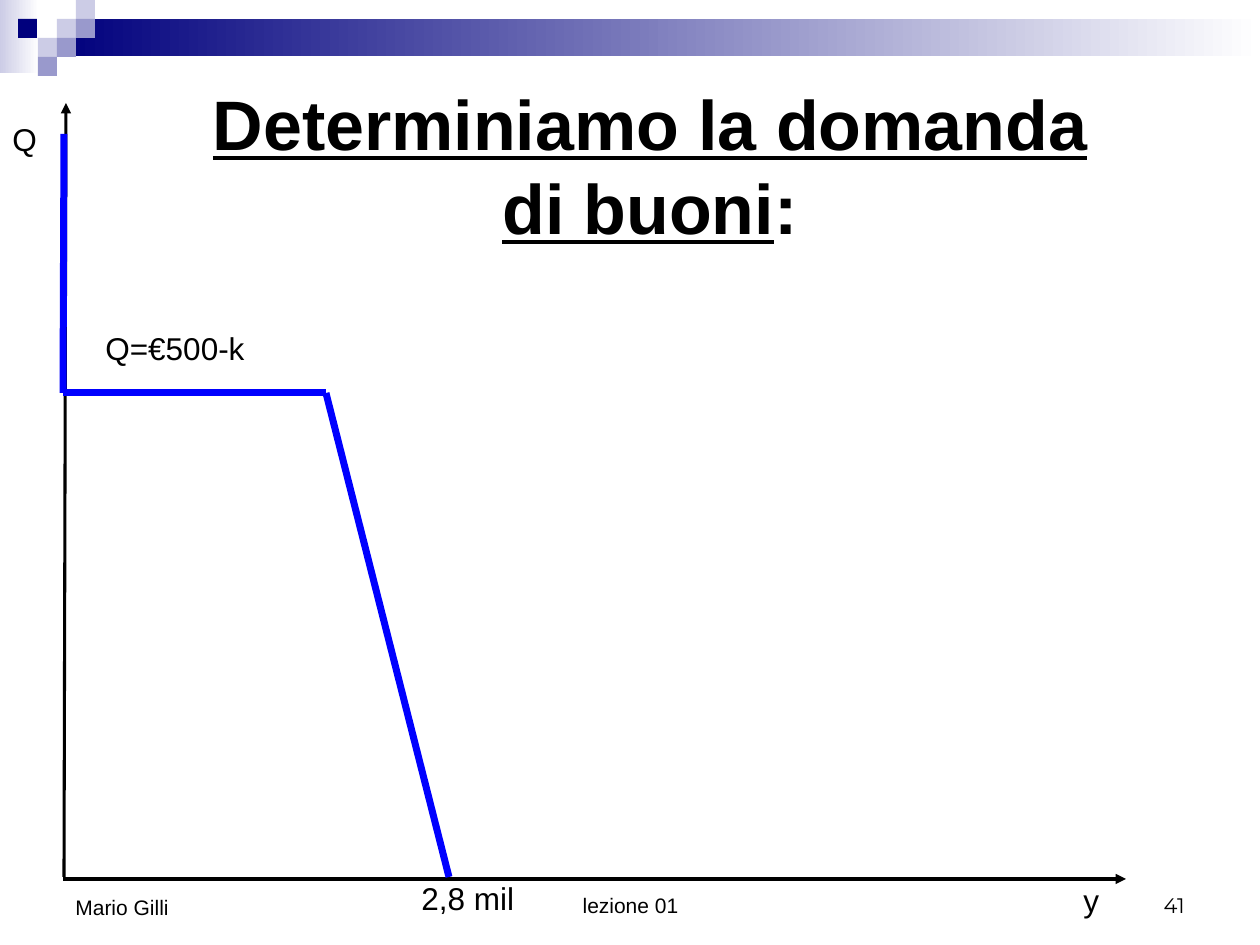
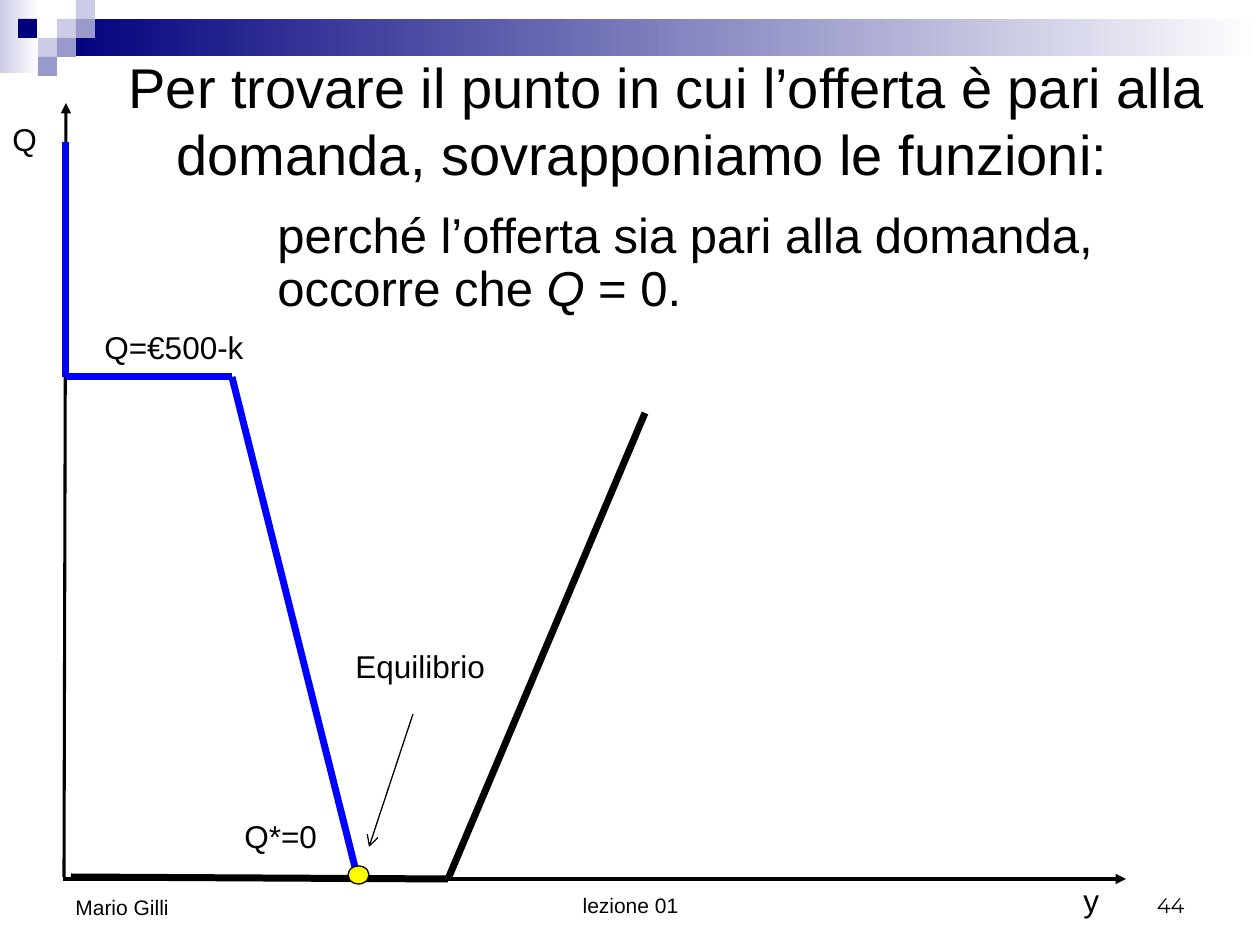
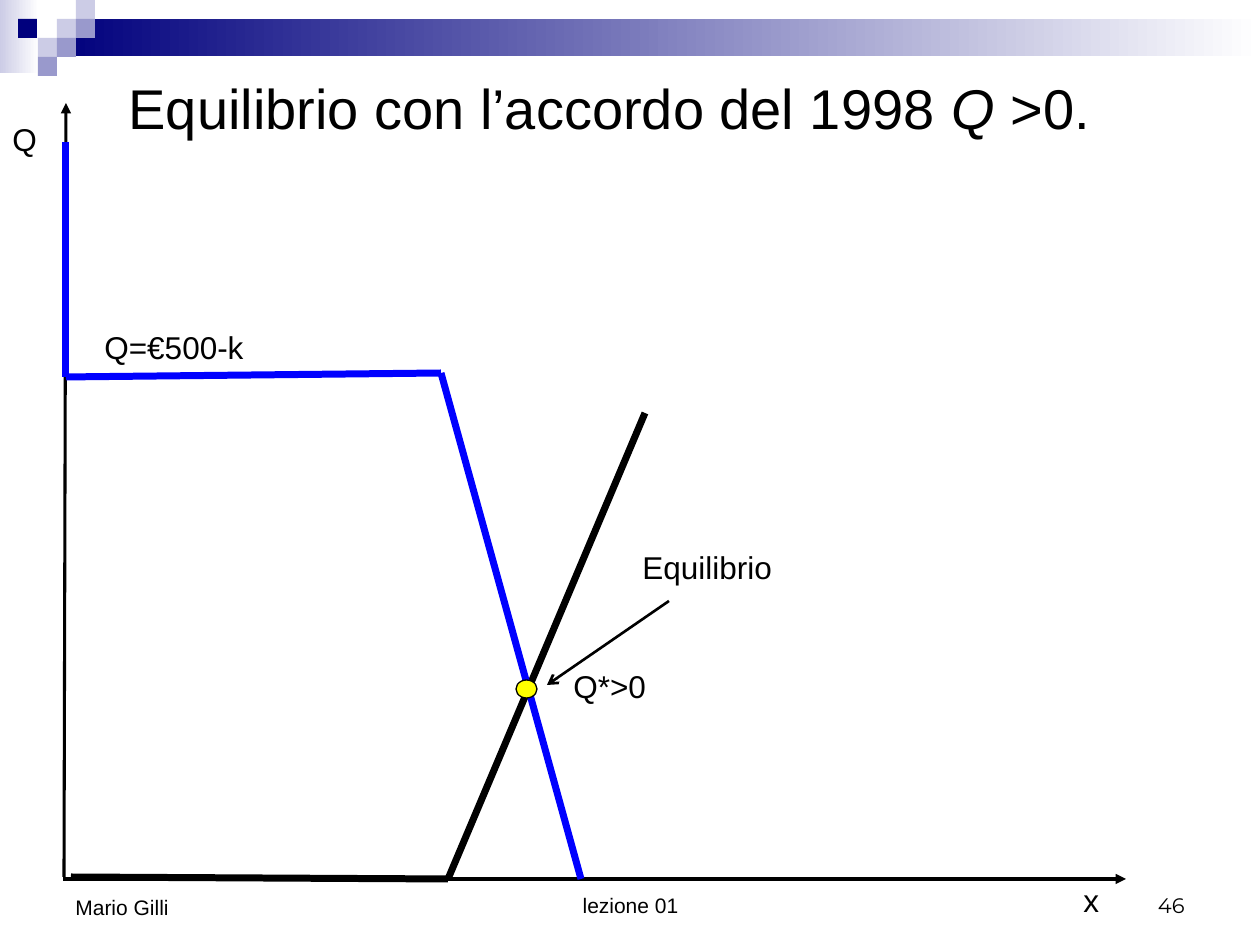
from dataclasses import dataclass
from itertools import pairwise

from lxml.etree import SubElement
from pptx import Presentation
from pptx.dml.color import RGBColor
from pptx.enum.shapes import MSO_CONNECTOR, MSO_SHAPE
from pptx.enum.text import MSO_ANCHOR, MSO_AUTO_SIZE, PP_ALIGN
from pptx.oxml.ns import qn
from pptx.util import Emu, Pt


@dataclass(frozen=True)
class Theme:
    black: RGBColor = RGBColor(0x00, 0x00, 0x00)
    white: RGBColor = RGBColor(0xFF, 0xFF, 0xFF)
    navy: RGBColor = RGBColor(0x00, 0x00, 0x7D)
    lilac: RGBColor = RGBColor(0x99, 0x99, 0xCC)
    pale: RGBColor = RGBColor(0xCC, 0xCC, 0xE6)
    demand: RGBColor = RGBColor(0x00, 0x00, 0xFF)
    marker: RGBColor = RGBColor(0xFF, 0xFF, 0x00)
    font: str = "Arial"
    number_font: str = "Montserrat"
    heading_size: int = 40
    title_size: int = 32
    body_size: int = 28
    label_size: int = 18
    footer_size: int = 12
    axis_width: float = 1.75
    curve_width: float = 4
    thin_width: float = 0.75


THEME = Theme()
PX = 914400 / 126


def write(frame, text, size, align=PP_ALIGN.LEFT, font=THEME.font, emphasis="italic"):
    """Fill a frame, one paragraph a line; words between underscores get the emphasis."""
    for index, line in enumerate(text.split("\n")):
        para = frame.paragraphs[0] if index == 0 else frame.add_paragraph()
        para.alignment = align
        para.font.name = font
        para.font.size = Pt(size)
        para.font.color.rgb = THEME.black
        for position, part in enumerate(line.split("_")):
            if part:
                span = para.add_run()
                span.text = part
                if position % 2:
                    setattr(span.font, emphasis, True)


def draw_path(page, points, color, width, arrow=None):
    """Join the points with straight lines, the last one ending in the arrowhead."""
    for start, end in pairwise(points):
        line = page.shapes.add_connector(
            MSO_CONNECTOR.STRAIGHT, *[Emu(round(n * PX)) for n in (*start, *end)])
        line.line.color.rgb = color
        line.line.width = Pt(width)
        SubElement(line._element.spPr, qn("a:effectLst"))
    if arrow:
        SubElement(line.line._get_or_add_ln(), qn("a:tailEnd"), type=arrow)


BANDS = [
    ((0, 0, 39, 73), THEME.pale),
    ((57, 19, 1203, 37), THEME.navy),
]
TILE = 19
TILES = [
    (57, 19, THEME.pale), (76, 0, THEME.pale), (76, 19, THEME.lilac),
    (38, 38, THEME.pale), (18, 19, THEME.navy), (57, 38, THEME.lilac),
    (38, 57, THEME.lilac),
]
SUPPLY = [(71, 877), (448, 879), (645, 413)]

SLIDES = [
    {
        "number": "41",
        "title": "_Determiniamo la domanda di buoni_:",
        "title_at": (190, 74, 920, 181),
        "heading": True,
        "demand": [(64, 134), (63, 393), (326, 393), (449, 877)],
        "labels": [("y", 1071, 875, 50), ("Q=€500-k", 93, 323, 180),
                   ("2,8 mil", 409, 873, 135)],
    },
    {
        "number": "44",
        "title": "Per trovare il punto in cui l’offerta è pari alla domanda, "
                 "sovrapponiamo le funzioni:",
        "title_at": (116, 46, 1144, 147),
        "note": "perché l’offerta sia pari alla domanda,\noccorre che _Q_ = 0.",
        "demand": [(66, 142), (66, 377), (232, 377), (358, 879)],
        "labels": [("y", 1071, 875, 50), ("Q=€500-k", 92, 322, 180),
                   ("Q*=0", 232, 811, 115), ("Equilibrio", 343, 641, 170)],
        "pointer": [(413, 714), (369, 847)],
        "pointer_width": THEME.thin_width,
        "equilibrium": (348, 866),
    },
    {
        "number": "46",
        "title": "Equilibrio con l’accordo del 1998 _Q_ >0.",
        "title_at": (116, 67, 1144, 117),
        "demand": [(66, 142), (66, 377), (441, 373), (581, 879)],
        "labels": [("x", 1071, 875, 50), ("Q=€500-k", 92, 322, 180),
                   ("Q*>0", 561, 661, 115), ("Equilibrio", 630, 542, 170)],
        "pointer": [(669, 601), (547, 685)],
        "pointer_width": 1.5,
        "equilibrium": (516, 680),
    },
]

deck = Presentation()
deck.slide_width = Emu(round(1260 * PX))
deck.slide_height = Emu(round(945 * PX))

for content in SLIDES:
    page = deck.slides.add_slide(deck.slide_layouts[5])

    # Decorated top band
    for at, color in BANDS:
        band = page.shapes.add_shape(MSO_SHAPE.RECTANGLE, *[Emu(round(n * PX)) for n in at])
        band.shadow.inherit = False
        band.line.fill.background()
        band.fill.gradient()
        band.fill.gradient_angle = 0
        for stop, stop_color in zip(band.fill.gradient_stops, (color, THEME.white)):
            stop.color.rgb = stop_color
    for left, top, color in TILES:
        tile = page.shapes.add_shape(
            MSO_SHAPE.RECTANGLE, *[Emu(round(n * PX)) for n in (left, top, TILE, TILE)])
        tile.shadow.inherit = False
        tile.line.fill.background()
        tile.fill.solid()
        tile.fill.fore_color.rgb = color

    # Footers
    for text, at, align, font in [
        ("lezione 01", (431, 861, 399, 63), PP_ALIGN.CENTER, THEME.font),
        (content["number"], (903, 861, 294, 63), PP_ALIGN.RIGHT, THEME.number_font),
        ("Mario Gilli", (63, 861, 294, 65), PP_ALIGN.LEFT, THEME.font),
    ]:
        footer = page.shapes.add_textbox(*[Emu(round(n * PX)) for n in at]).text_frame
        footer.word_wrap = True
        footer.vertical_anchor = MSO_ANCHOR.BOTTOM
        write(footer, text, THEME.footer_size, align, font)

    # Title
    title = page.shapes.title
    title.left, title.top, title.width, title.height = [
        Emu(round(n * PX)) for n in content["title_at"]]
    frame = title.text_frame
    frame.word_wrap = True
    frame.auto_size = MSO_AUTO_SIZE.NONE
    frame.vertical_anchor = MSO_ANCHOR.TOP
    if content.get("heading"):
        write(frame, content["title"], THEME.heading_size, PP_ALIGN.CENTER,
              emphasis="underline")
        frame.paragraphs[0].font.bold = True
    else:
        write(frame, content["title"], THEME.title_size)
        indent = round(48 * PX)
        properties = frame.paragraphs[0]._p.get_or_add_pPr()
        properties.set("marL", str(indent))
        properties.set("indent", str(-indent))

    # Axes and curves
    draw_path(page, [(64, 877), (66, 103)], THEME.black, THEME.axis_width, "triangle")
    draw_path(page, [(63, 879), (1126, 879)], THEME.black, THEME.axis_width, "triangle")
    if "equilibrium" in content:
        draw_path(page, SUPPLY, THEME.black, THEME.curve_width)
    draw_path(page, content["demand"], THEME.demand, THEME.curve_width)

    # Labels
    for text, left, top, width in [("Q", 0, 114, 60), *content["labels"]]:
        label = page.shapes.add_textbox(
            *[Emu(round(n * PX)) for n in (left, top, width, 50)]).text_frame
        label.word_wrap = True
        label.auto_size = MSO_AUTO_SIZE.NONE
        write(label, text, THEME.label_size)

    if "note" in content:
        note = page.shapes.add_textbox(
            *[Emu(round(n * PX)) for n in (265, 205, 870, 118)]).text_frame
        note.word_wrap = True
        write(note, content["note"], THEME.body_size)
        for para in note.paragraphs:
            para.line_spacing = 0.9

    # Equilibrium point
    if "equilibrium" in content:
        draw_path(page, content["pointer"], THEME.black, content["pointer_width"], "arrow")
        point = page.shapes.add_shape(
            MSO_SHAPE.OVAL, *[Emu(round(n * PX)) for n in (*content["equilibrium"], 21, 18)])
        point.shadow.inherit = False
        point.fill.solid()
        point.fill.fore_color.rgb = THEME.marker
        point.line.color.rgb = THEME.black
        point.line.width = Pt(THEME.thin_width)

deck.save("out.pptx")
